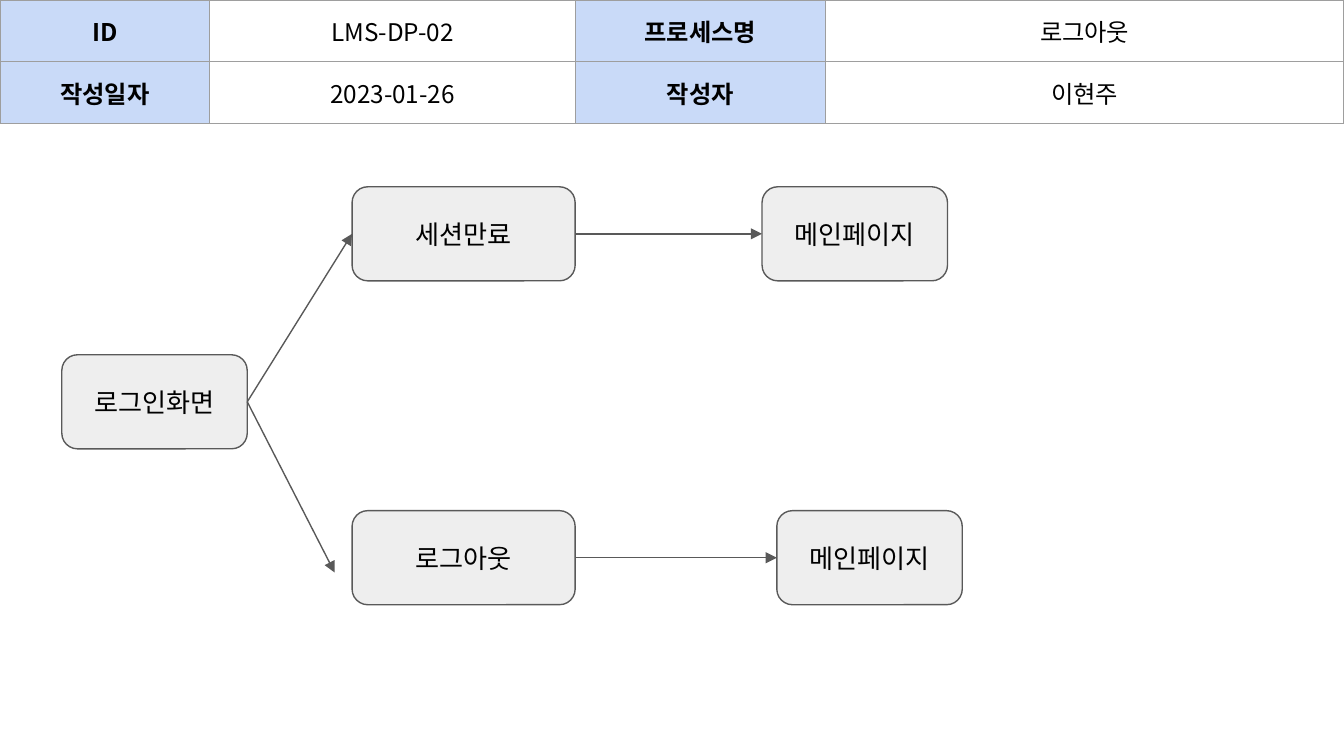
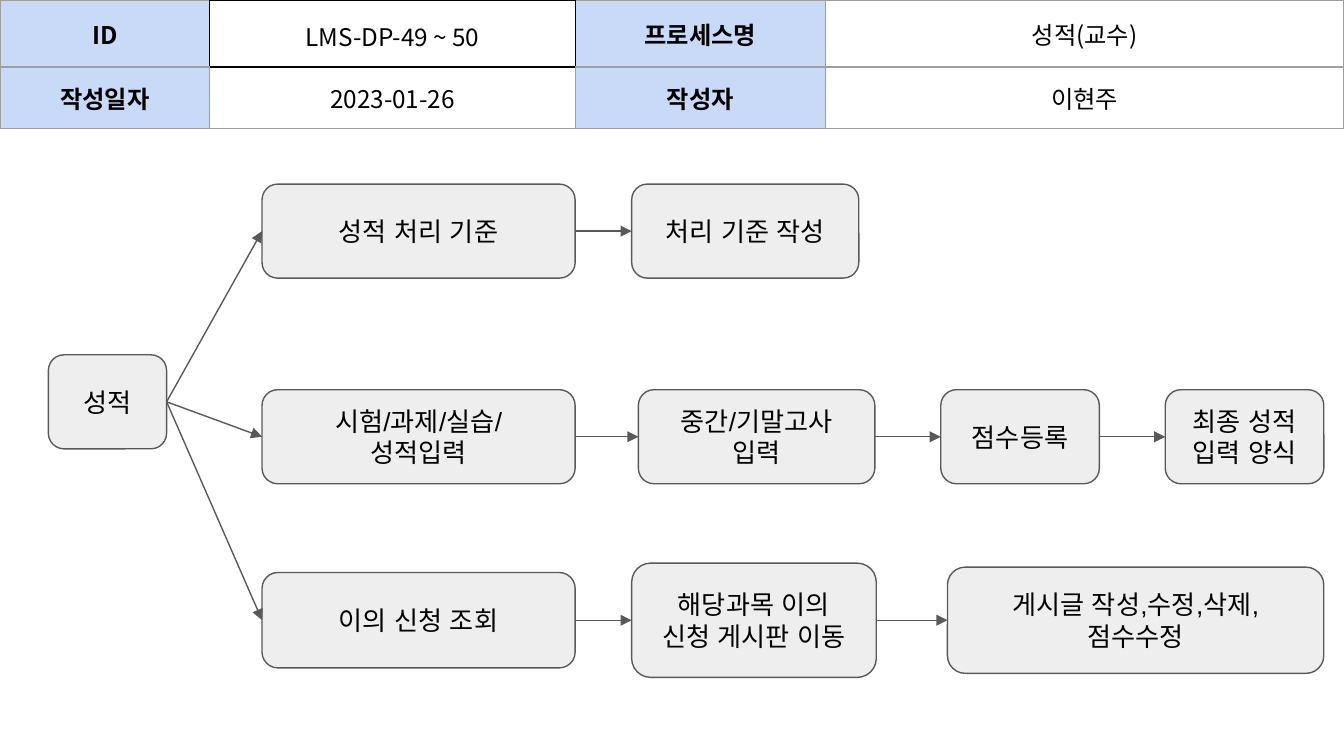
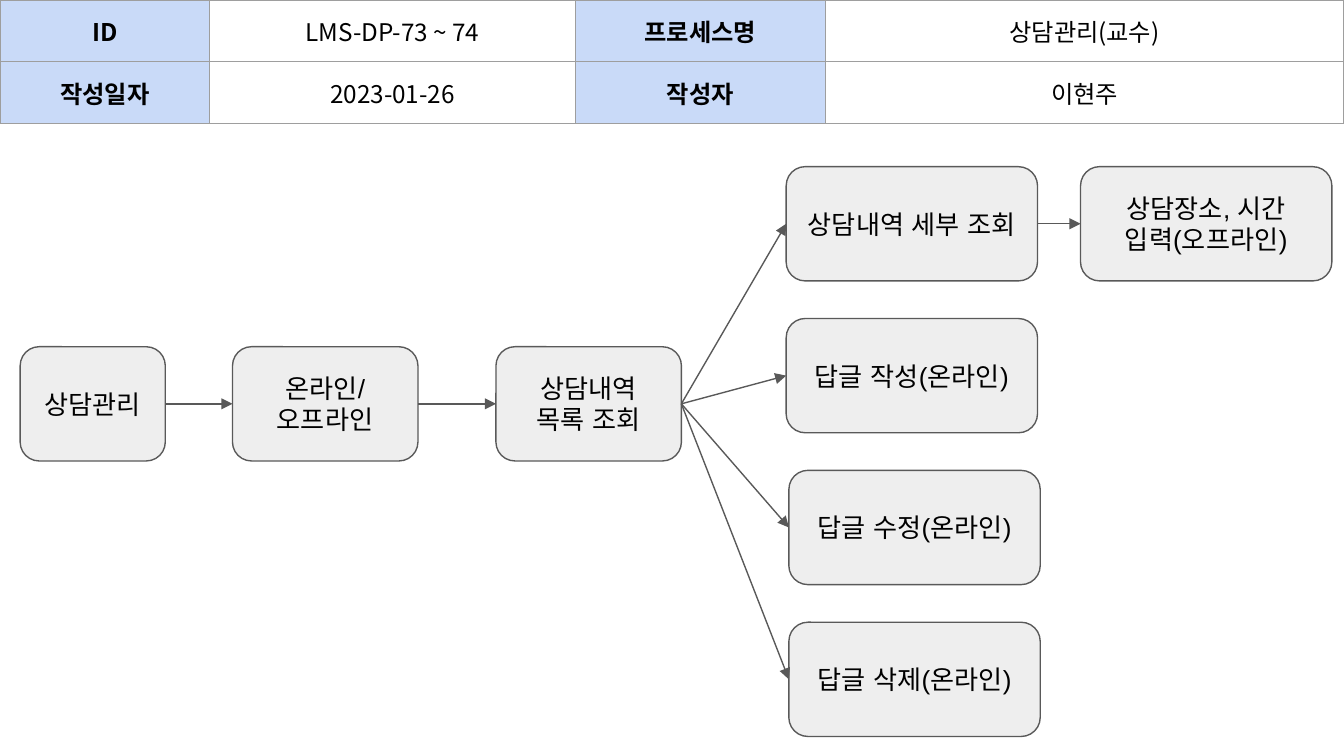
from collections import namedtuple
from dataclasses import dataclass

from lxml import etree
from pptx import Presentation
from pptx.dml.color import RGBColor
from pptx.enum import shapes, text
from pptx.oxml import ns
from pptx.util import Inches, Pt


@dataclass(frozen=True)
class Theme:
    ink: str = "000000"
    paper: str = "FFFFFF"
    label_fill: str = "C9DAF8"
    grid: str = "9E9E9E"
    node_fill: str = "EEEEEE"
    node_line: str = "595959"
    table_font: str = "Noto Sans CJK KR"
    node_font: str = "Arial"
    table_size: float = 13
    node_size: float = 14
    line_width: float = 0.75
    focus_width: float = 0.68
    inset: float = 0.1


THEME = Theme()
Box = namedtuple("Box", "left top width height")
Node = namedtuple("Node", "text left top width height", defaults=[0.7])

HEADER_BOX = Box(0, 0, 10, 0.85)
FLOW_BOX = Box(0, 1, 10, 4.62)
COLUMN_WIDTHS = [1.56, 2.72, 1.86, 0.91, 1.12, 1.83]
ROW_HEIGHTS = [0.42, 0.43]
MERGE_FROM = 3


def color(value):
    return RGBColor.from_string(value)


def write_text(frame, content, *, font, size, bold=False, line_spacing=None):
    """Fill a text frame with centred lines, one paragraph for each."""
    frame.word_wrap = True
    for index, line in enumerate(content.split("\n")):
        paragraph = frame.paragraphs[0] if index == 0 else frame.add_paragraph()
        paragraph.alignment = text.PP_ALIGN.CENTER
        if line_spacing:
            paragraph.line_spacing = line_spacing
        run = paragraph.add_run()
        run.text = line
        run.font.name = font
        run.font.size = Pt(size)
        run.font.bold = bold
        run.font.color.rgb = color(THEME.ink)
        # East Asian characters use the same typeface
        etree.SubElement(run.font._element, ns.qn("a:ea"), typeface=font)


def set_insets(target):
    for side in ("left", "right", "top", "bottom"):
        setattr(target, f"margin_{side}", Inches(THEME.inset))


# Header table

def set_borders(cell, focus_sides=""):
    """Draw the four borders; the sides in focus_sides are black."""
    properties = cell._tc.get_or_add_tcPr()
    for index, side in enumerate("LRTB"):
        focused = side in focus_sides
        width = THEME.focus_width if focused else THEME.line_width
        line = etree.Element(ns.qn(f"a:ln{side}"), w=str(Pt(width)))
        fill = etree.SubElement(line, ns.qn("a:solidFill"))
        etree.SubElement(fill, ns.qn("a:srgbClr"),
                         val=THEME.ink if focused else THEME.grid)
        properties.insert(index, line)


def add_header(slide, box, process_id, process_name, focus_id=False):
    frame = slide.shapes.add_table(len(ROW_HEIGHTS), len(COLUMN_WIDTHS),
                                   *map(Inches, box))
    table = frame.table
    table.first_row = table.horz_banding = False
    for column, width in zip(table.columns, COLUMN_WIDTHS):
        column.width = Inches(width)
    for row, height in zip(table.rows, ROW_HEIGHTS):
        row.height = Inches(height)

    # The ID cell in focus shares its borders with its neighbours
    focus = {(0, 0): "R", (0, 1): "LRTB", (0, 2): "L", (1, 1): "T"}
    records = [["ID", process_id, "프로세스명", process_name],
               ["작성일자", "2023-01-26", "작성자", "이현주"]]
    for row, record in enumerate(records):
        for column in range(len(COLUMN_WIDTHS)):
            cell = table.cell(row, column)
            is_label = column in (0, 2)
            is_focus = focus_id and (row, column) == (0, 1)
            if is_label or is_focus:
                cell.fill.solid()
                cell.fill.fore_color.rgb = color(
                    THEME.label_fill if is_label else THEME.paper)
            else:
                cell.fill.background()
            set_borders(cell, focus.get((row, column), "") if focus_id else "")
            set_insets(cell)
            cell.vertical_anchor = (text.MSO_ANCHOR.TOP if is_focus
                                    else text.MSO_ANCHOR.MIDDLE)
            if column < len(record):
                write_text(cell.text_frame, record[column],
                           font=THEME.table_font, size=THEME.table_size,
                           bold=is_label,
                           line_spacing=1.15 if is_focus else None)
        table.cell(row, MERGE_FROM).merge(
            table.cell(row, len(COLUMN_WIDTHS) - 1))


# Flow diagram

def add_node(slide, box, node):
    shape = slide.shapes.add_shape(
        shapes.MSO_SHAPE.ROUNDED_RECTANGLE,
        Inches(box.left + node.left), Inches(box.top + node.top),
        Inches(node.width), Inches(node.height))
    shape.shadow.inherit = False
    shape.fill.solid()
    shape.fill.fore_color.rgb = color(THEME.node_fill)
    shape.line.color.rgb = color(THEME.node_line)
    shape.line.width = Pt(THEME.line_width)
    shape.text_frame.vertical_anchor = text.MSO_ANCHOR.MIDDLE
    set_insets(shape.text_frame)
    write_text(shape.text_frame, node.text,
               font=THEME.node_font, size=THEME.node_size)
    return shape


def add_arrow(slide, box, source, target):
    """Join the right side of source to a shape's left side or to a point."""
    is_point = isinstance(target, tuple)
    end = ((Inches(box.left + target[0]), Inches(box.top + target[1]))
           if is_point else (0, 0))
    arrow = slide.shapes.add_connector(shapes.MSO_CONNECTOR.STRAIGHT, 0, 0, *end)
    arrow.begin_connect(source, 3)
    if not is_point:
        arrow.end_connect(target, 1)
    arrow.line.color.rgb = color(THEME.node_line)
    arrow.line.width = Pt(THEME.line_width)
    etree.SubElement(arrow.line._get_or_add_ln(), ns.qn("a:tailEnd"),
                     type="triangle")
    etree.SubElement(arrow._element.spPr, ns.qn("a:effectLst"))


def add_flow(slide, box, nodes, links):
    drawn = {name: add_node(slide, box, node) for name, node in nodes.items()}
    for source, target in links:
        add_arrow(slide, box, drawn[source], drawn.get(target, target))


# Process slides

def logout_flow():
    nodes = {
        "login": Node("로그인화면", 0.46, 1.64, 1.38),
        "expired": Node("세션만료", 2.62, 0.39, 1.66),
        "logout": Node("로그아웃", 2.62, 2.8, 1.66),
        "expired_main": Node("메인페이지", 5.67, 0.39, 1.38),
        "logout_main": Node("메인페이지", 5.78, 2.8, 1.38),
    }
    links = [("login", "expired"), ("login", (2.49, 3.26)),
             ("expired", "expired_main"), ("logout", "logout_main")]
    return nodes, links


def grades_flow():
    nodes = {
        "grades": Node("성적", 0.36, 1.64, 0.88),
        "criteria": Node("성적 처리 기준", 1.95, 0.37, 2.33),
        "write": Node("처리 기준 작성", 4.7, 0.37, 1.69),
        "entry": Node("시험/과제/실습/\n성적입력", 1.95, 1.9, 2.33),
        "exams": Node("중간/기말고사 입력", 4.75, 1.9, 1.76),
        "register": Node("점수등록", 7, 1.9, 1.18),
        "final": Node("최종 성적 입력 양식", 8.67, 1.9, 1.18),
        "appeals": Node("이의 신청 조회", 1.95, 3.26, 2.33, 0.71),
        "board": Node("해당과목 이의 신청 게시판 이동", 4.7, 3.19, 1.82, 0.85),
        "posts": Node("게시글 작성,수정,삭제,점수수정", 7.05, 3.22, 2.8, 0.79),
    }
    lanes = [["grades", "criteria", "write"],
             ["grades", "entry", "exams", "register", "final"],
             ["grades", "appeals", "board", "posts"]]
    return nodes, [link for lane in lanes for link in zip(lane, lane[1:])]


def counseling_flow():
    height, top, pitch = 0.85, 0.24, 1.13
    nodes = {
        "counseling": Node("상담관리", 0.15, 1.58, 1.08, height),
        "channel": Node("온라인/\n오프라인", 1.73, 1.58, 1.38, height),
        "list": Node("상담내역 목록 조회", 3.69, 1.58, 1.38, height),
        "schedule": Node("상담장소, 시간 입력(오프라인)", 8.04, top, 1.87, height),
    }
    actions = [("detail", "상담내역 세부 조회", 5.85),
               ("reply", "답글 작성(온라인)", 5.85),
               ("edit", "답글 수정(온라인)", 5.87),
               ("delete", "답글 삭제(온라인)", 5.87)]
    links = [("counseling", "channel"), ("channel", "list"),
             ("detail", "schedule")]
    for index, (name, label, left) in enumerate(actions):
        nodes[name] = Node(label, left, top + index * pitch, 1.87, height)
        links.append(("list", name))
    return nodes, links


def add_process_slide(presentation, process_id, process_name, flow,
                      focus_id=False):
    slide = presentation.slides.add_slide(presentation.slide_layouts[6])
    add_header(slide, HEADER_BOX, process_id, process_name, focus_id)
    add_flow(slide, FLOW_BOX, *flow)


def main():
    presentation = Presentation()
    # Widescreen, 16:9
    presentation.slide_width = Inches(10)
    presentation.slide_height = Inches(10 * 9 / 16)
    add_process_slide(presentation, "LMS-DP-02", "로그아웃", logout_flow())
    add_process_slide(presentation, "LMS-DP-49 ~ 50", "성적(교수)",
                      grades_flow(), focus_id=True)
    add_process_slide(presentation, "LMS-DP-73 ~ 74", "상담관리(교수)",
                      counseling_flow())
    presentation.save("out.pptx")


if __name__ == "__main__":
    main()
